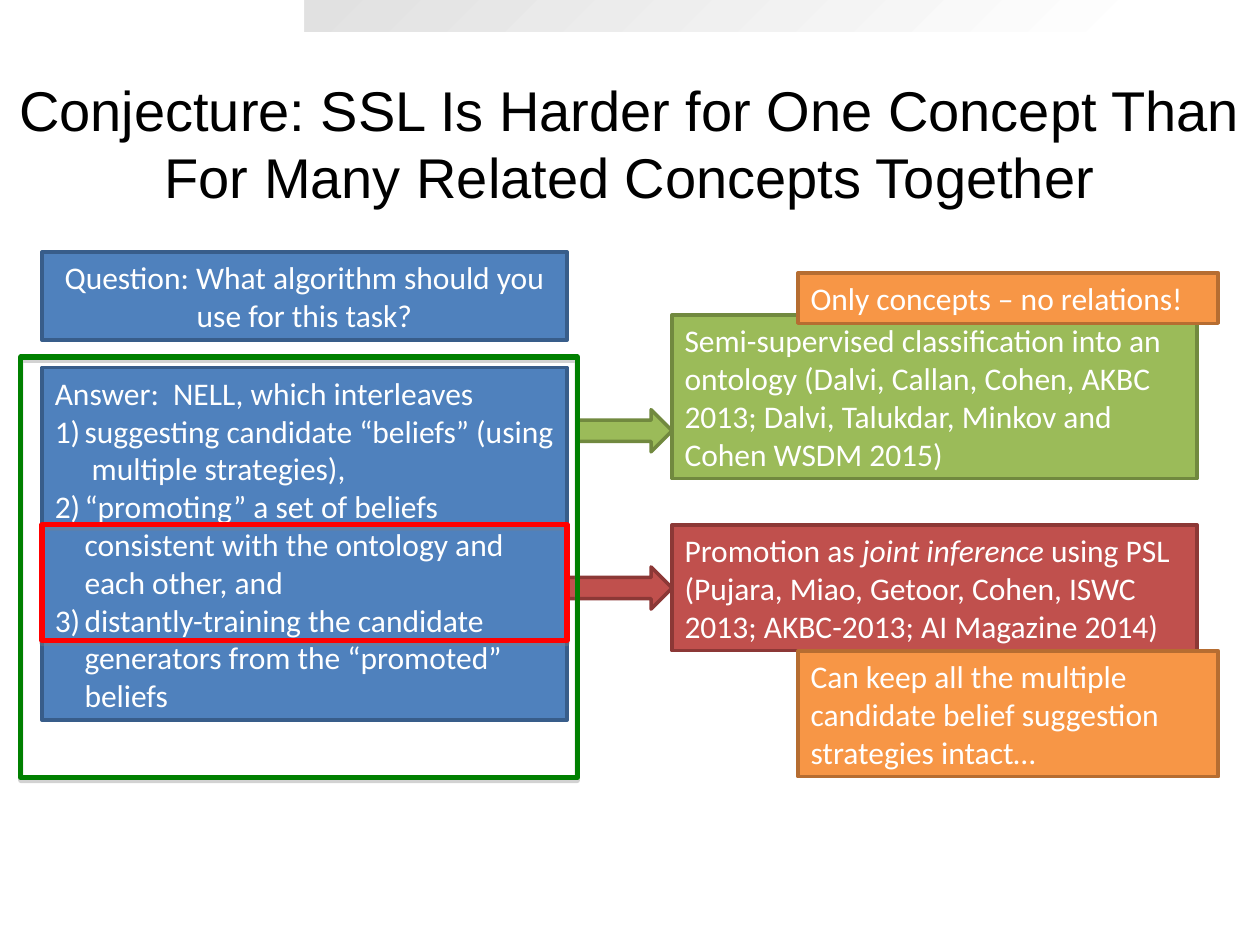
from dataclasses import dataclass
from typing import Any, Optional

import lxml.etree
import pptx
import pptx.dml.color
import pptx.enum.shapes
import pptx.enum.text
import pptx.oxml
import pptx.oxml.ns
import pptx.util

Cm = pptx.util.Cm
Pt = pptx.util.Pt
RGBColor = pptx.dml.color.RGBColor
Kind = pptx.enum.shapes.MSO_SHAPE
Align = pptx.enum.text.PP_ALIGN
Anchor = pptx.enum.text.MSO_ANCHOR

BLACK = RGBColor(0x00, 0x00, 0x00)
WHITE = RGBColor(0xFF, 0xFF, 0xFF)
SILVER = RGBColor(0xE1, 0xE1, 0xE1)
BLUE = RGBColor(0x4F, 0x81, 0xBD)
BLUE_EDGE = RGBColor(0x38, 0x5D, 0x8A)
RED = RGBColor(0xC0, 0x50, 0x4D)
RED_EDGE = RGBColor(0x8C, 0x38, 0x36)
GREEN = RGBColor(0x9B, 0xBB, 0x59)
GREEN_EDGE = RGBColor(0x71, 0x89, 0x3F)
ORANGE = RGBColor(0xF7, 0x96, 0x46)
ORANGE_EDGE = RGBColor(0xB6, 0x6D, 0x31)
FRAME_RED = RGBColor(0xFF, 0x00, 0x00)
FRAME_GREEN = RGBColor(0x00, 0x80, 0x00)

LEFT_COLUMN = 0.85
RIGHT_COLUMN = 13.55
REMARK_COLUMN = 16.09
BOX_WIDTH = 10.58
REMARK_WIDTH = 8.47
ARROW_HEIGHT = 0.85
LIST_INDENT = Cm(0.6)


@dataclass(frozen=True)
class Area:
    left: float
    top: float
    width: float
    height: float


@dataclass(frozen=True)
class Block:
    area: Area
    fill: Optional[RGBColor]
    edge: RGBColor
    runs: tuple[str, ...] = ()
    kind: Any = Kind.RECTANGLE
    alignment: Any = Align.LEFT


TITLE = "Conjecture: SSL Is Harder for One Concept Than For Many Related Concepts Together"
ANSWER_AREA = Area(LEFT_COLUMN, 7.41, BOX_WIDTH, 7.11)
ANSWER_INTRO = "Answer:  NELL, which interleaves"
ANSWER_STEPS = (
    "suggesting candidate “beliefs” (using  multiple strategies),",
    "“promoting” a set of beliefs consistent with the ontology and each other, and",
    "distantly-training the candidate generators from the “promoted” beliefs",
)

BLOCKS = (
    Block(Area(LEFT_COLUMN, 5.08, BOX_WIDTH, 1.78), BLUE, BLUE_EDGE,
          ("Question: What algorithm should you use for this task?",),
          alignment=Align.CENTER),
    Block(Area(RIGHT_COLUMN, 10.58, BOX_WIDTH, 2.54), RED, RED_EDGE,
          ("Promotion as ", "joint inference",
           " using PSL (Pujara, Miao, Getoor, Cohen, ISWC 2013; AKBC-2013; AI Magazine 2014)")),
    Block(Area(11.43, 11.43, 2.12, ARROW_HEIGHT), RED, RED_EDGE, kind=Kind.RIGHT_ARROW),
    Block(Area(LEFT_COLUMN, 10.58, BOX_WIDTH, 2.33), None, FRAME_RED),
    Block(Area(RIGHT_COLUMN, 6.35, BOX_WIDTH, 3.3), GREEN, GREEN_EDGE,
          ("Semi-supervised classification into an ontology (Dalvi, Callan, Cohen, AKBC 2013; "
           "Dalvi, Talukdar, Minkov and Cohen WSDM 2015)",)),
    Block(Area(11.64, 8.26, 1.91, ARROW_HEIGHT), GREEN, GREEN_EDGE, kind=Kind.RIGHT_ARROW),
    Block(Area(0.42, 7.2, 11.22, 8.47), None, FRAME_GREEN),
    Block(Area(REMARK_COLUMN, 5.5, REMARK_WIDTH, 1.02), ORANGE, ORANGE_EDGE,
          ("Only concepts – no relations!",)),
    Block(Area(REMARK_COLUMN, 13.12, REMARK_WIDTH, 2.54), ORANGE, ORANGE_EDGE,
          ("Can keep all the multiple candidate belief suggestion strategies intact…",)),
)


def place(shape: Any, area: Area) -> None:
    shape.left, shape.top = Cm(area.left), Cm(area.top)
    shape.width, shape.height = Cm(area.width), Cm(area.height)


def add_preset(slide: Any, kind: Any, area: Area) -> Any:
    shape = slide.shapes.add_shape(
        kind, Cm(area.left), Cm(area.top), Cm(area.width), Cm(area.height))
    shape.shadow.inherit = False
    return shape


def paint(shape: Any, fill: Optional[RGBColor], edge: RGBColor, weight: float) -> None:
    if fill is None:
        shape.fill.background()
    else:
        shape.fill.solid()
        shape.fill.fore_color.rgb = fill
    shape.line.color.rgb = edge
    shape.line.width = Pt(weight)


def set_font(paragraph: Any, name: str, size: float, color: RGBColor) -> None:
    paragraph.font.name = name
    paragraph.font.size = Pt(size)
    paragraph.font.color.rgb = color


def set_frame(shape: Any, anchor: Any) -> Any:
    frame = shape.text_frame
    frame.word_wrap = True
    frame.auto_size = pptx.enum.text.MSO_AUTO_SIZE.NONE
    frame.vertical_anchor = anchor
    return frame


def add_soft_shadow(shape: Any) -> None:
    effects = shape.element.spPr.find(pptx.oxml.ns.qn("a:effectLst"))
    effects.append(pptx.oxml.parse_xml(
        f'<a:outerShdw {pptx.oxml.ns.nsdecls("a")} dist="{Pt(1.8)}" dir="5400000" '
        'rotWithShape="0"><a:srgbClr val="808080"><a:alpha val="35000"/></a:srgbClr>'
        '</a:outerShdw>'))


def set_bullet(paragraph: Any, numbered: bool) -> None:
    properties = paragraph._p.get_or_add_pPr()
    indent = LIST_INDENT if numbered else 0
    properties.set("marL", str(indent))
    properties.set("indent", str(-indent))
    qn = pptx.oxml.ns.qn
    if numbered:
        color = lxml.etree.SubElement(properties, qn("a:buClr"))
        lxml.etree.SubElement(color, qn("a:srgbClr"), val=str(WHITE))
        lxml.etree.SubElement(properties, qn("a:buFont"), typeface="Calibri")
        lxml.etree.SubElement(properties, qn("a:buAutoNum"), type="arabicParenR")
    else:
        lxml.etree.SubElement(properties, qn("a:buNone"))


def draw_block(slide: Any, block: Block) -> None:
    shape = add_preset(slide, block.kind, block.area)
    paint(shape, block.fill, block.edge, 3 if block.fill is None else 2)
    if block.fill is None:
        add_soft_shadow(shape)
    if block.runs:
        paragraph = set_frame(shape, Anchor.TOP).paragraphs[0]
        paragraph.alignment = block.alignment
        set_font(paragraph, "Calibri", 18, WHITE)
        for position, text in enumerate(block.runs):
            run = paragraph.add_run()
            run.text = text
            if position == 1:
                run.font.italic = True


def draw_header_band(slide: Any) -> None:
    band = add_preset(slide, Kind.RECTANGLE, Area(6.14, 0, 16.93, 0.64))
    band.line.fill.background()
    band.fill.gradient()
    band.fill.gradient_angle = 135
    for stop, color in zip(band.fill.gradient_stops, (WHITE, SILVER)):
        stop.color.rgb = color


def fill_title(title: Any) -> None:
    place(title, Area(0, 2.12, 25.4, 1.52))
    frame = set_frame(title, Anchor.MIDDLE)
    frame.text = TITLE
    frame.paragraphs[0].alignment = Align.CENTER
    set_font(frame.paragraphs[0], "Arial", 32, BLACK)


def fill_answer(body: Any) -> None:
    place(body, ANSWER_AREA)
    paint(body, BLUE, BLUE_EDGE, 2)
    frame = set_frame(body, Anchor.TOP)
    frame.text = "\n".join((ANSWER_INTRO, *ANSWER_STEPS))
    for position, paragraph in enumerate(frame.paragraphs):
        set_bullet(paragraph, numbered=position > 0)
        paragraph.space_before = Pt(0)
        set_font(paragraph, "Calibri", 18, WHITE)


def main() -> None:
    presentation = pptx.Presentation()
    presentation.slide_width, presentation.slide_height = Cm(25.4), Cm(19.05)
    slide = presentation.slides.add_slide(presentation.slide_layouts[1])
    draw_header_band(slide)
    fill_title(slide.shapes.title)
    fill_answer(slide.placeholders[1])
    for block in BLOCKS:
        draw_block(slide, block)
    presentation.save("out.pptx")


if __name__ == "__main__":
    main()
